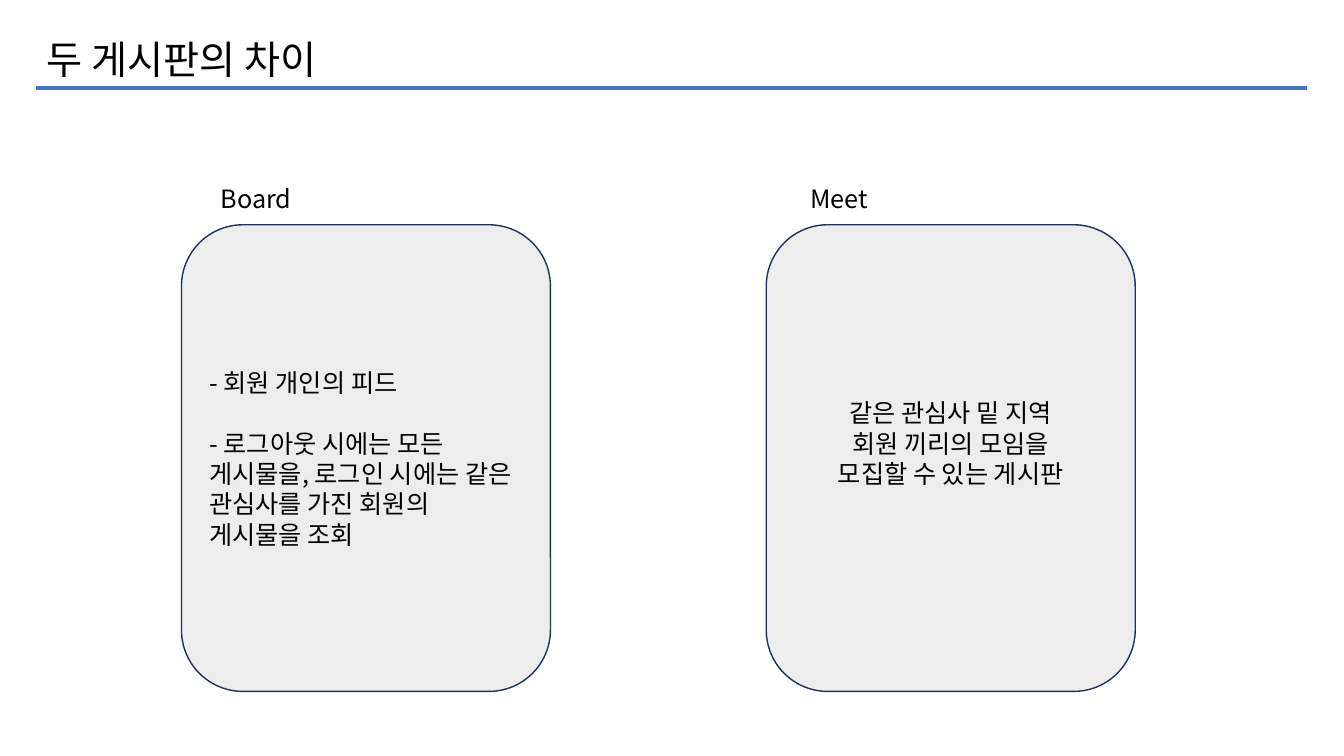
from pptx import Presentation
from pptx.dml.color import RGBColor
from pptx.enum.shapes import MSO_CONNECTOR, MSO_SHAPE
from pptx.enum.text import MSO_ANCHOR, MSO_AUTO_SIZE, PP_ALIGN
from pptx.oxml.ns import qn
from pptx.util import Pt
from lxml.etree import SubElement

SCALE = 9144  # EMU per px, 100 px to the inch
FONT = "Noto Sans CJK KR"
CARD_W, CARD_H = 366, 463


def px(*nums):
    return [n * SCALE for n in nums]


def color(code):
    return RGBColor.from_string(code)


def style(item, values):
    for name, value in values.items():
        setattr(item, name, value)


def write(frame, lines, size=18, font=FONT, align=PP_ALIGN.LEFT, gaps={}):
    """Fill a frame with one paragraph per line; gaps maps line number to points after it."""
    frame.word_wrap = True
    for i, line in enumerate(lines):
        para = frame.paragraphs[0] if i == 0 else frame.add_paragraph()
        style(para, {"alignment": align, "space_after": Pt(gaps.get(i, 0))})
        run = para.add_run()
        run.text = line
        style(run.font, {"size": Pt(size), "name": font})
        run.font.color.rgb = color("000000")
        SubElement(run.font._element, qn("a:ea")).set("typeface", FONT)


def head(slide, x, y, w, text):
    title = slide.shapes.title
    style(title, dict(zip(("left", "top", "width", "height"), px(x, y, 724, 57))))
    style(title.text_frame, {"vertical_anchor": MSO_ANCHOR.TOP,
                             "auto_size": MSO_AUTO_SIZE.NONE})
    write(title.text_frame, [text], size=28, font="Roboto")
    rule = slide.shapes.add_connector(
        MSO_CONNECTOR.STRAIGHT, *px(x, y + 57, x + w, y + 57))
    rule.line.color.rgb = color("4472C4")
    rule.line.width = Pt(3)
    SubElement(rule._element.spPr, qn("a:effectLst"))


def card(slide, x, y, label, indent, lines, foot=5, **look):
    """Draw a rounded card with its label above; foot is the bottom inset."""
    box = slide.shapes.add_shape(
        MSO_SHAPE.ROUNDED_RECTANGLE, *px(x, y, CARD_W, CARD_H))
    box.shadow.inherit = False
    box.fill.solid()
    box.fill.fore_color.rgb = color("EDEDED")
    box.line.color.rgb = color("1E3256")
    box.line.width = Pt(1)
    style(box.text_frame, {"vertical_anchor": MSO_ANCHOR.MIDDLE,
                           "margin_bottom": foot * SCALE})
    write(box.text_frame, lines, **look)
    name = slide.shapes.add_textbox(*px(x + indent, y - 46, 267, 40))
    write(name.text_frame, [label])


def main():
    deck = Presentation()
    deck.slide_width, deck.slide_height = px(1333, 750)
    slide = deck.slides.add_slide(deck.slide_layouts.get_by_name("Title Only"))
    head(slide, 36, 30, 1260, "두 게시판의 차이")
    card(slide, 180, 223, "Board", 29,
         ["- 회원 개인의 피드",
          "- 로그아웃 시에는 모든",
          "게시물을, 로그인 시에는 같은 관심사를 가진 회원의",
          "게시물을 조회"],
         gaps={0: 22})
    card(slide, 760, 223, "Meet", 34,
         ["같은 관심사 밑 지역",
          "회원 끼리의 모임을",
          "모집할 수 있는 게시판"],
         foot=35, align=PP_ALIGN.CENTER)
    deck.save("out.pptx")


if __name__ == "__main__":
    main()
